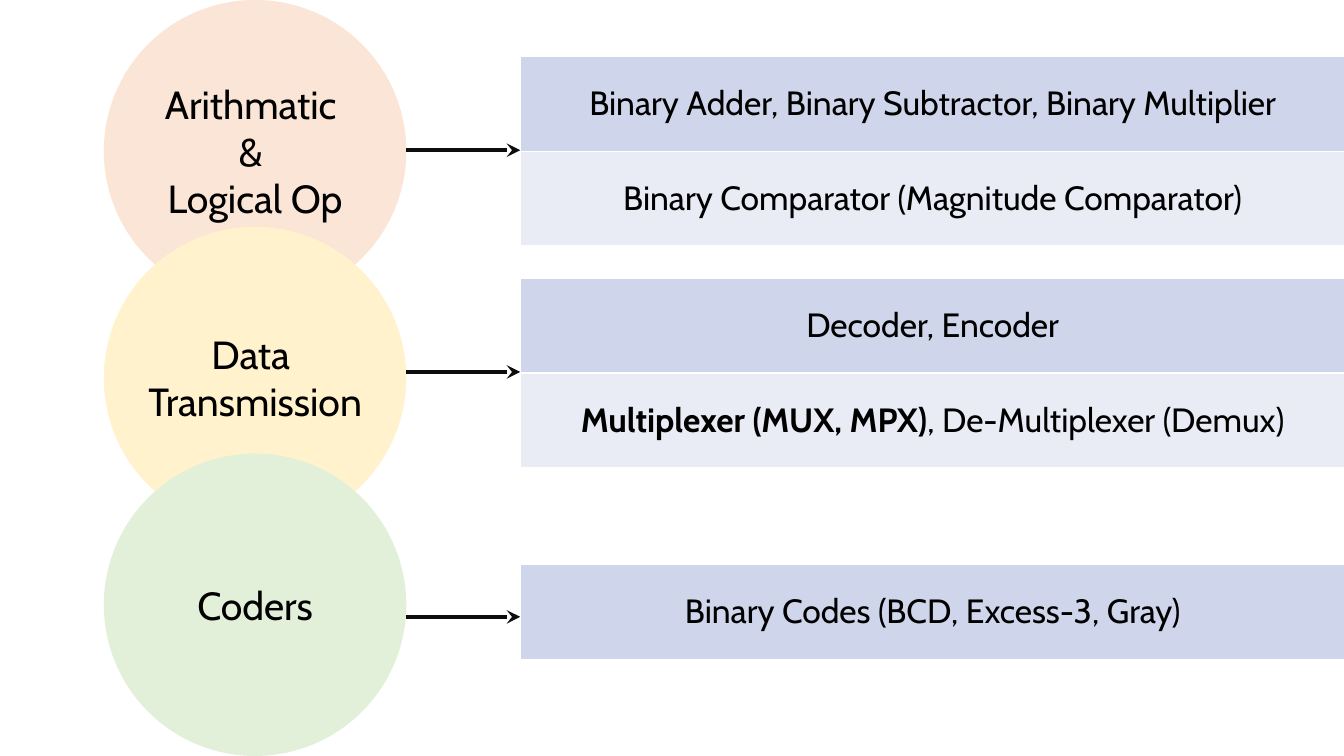
from pptx import Presentation
from pptx.dml.color import RGBColor
from pptx.enum.shapes import MSO_CONNECTOR, MSO_SHAPE
from pptx.enum.text import MSO_ANCHOR, MSO_AUTO_SIZE, PP_ALIGN
from pptx.oxml import parse_xml
from pptx.oxml.ns import nsdecls
from pptx.util import Inches, Pt

FONT = "Cabin"
COLORS = {
    "text": "000000", "arrow": "0D0D0D", "border": "FFFFFF",
    "peach": "FBE5D6", "yellow": "FFF2CC", "green": "E2F0D9",
    "row_dark": "CFD5EA", "row_light": "E9EBF5",
}
CIRCLE_LEFT, CIRCLE_SIZE, CIRCLE_STEP = 1.03, 3, 2.25
TABLE_LEFT, TABLE_WIDTH, ROW_HEIGHT = 5.16, 8.18, 0.94

# Each category: colour, label lines, label box width and height,
# arrow height on the slide, table top, table rows as (text, bold) runs
CATEGORIES = [
    ("peach", ["Arithmatic ", "& ", "Logical Op"], 2.1, 1.51, 1.49, 0.56,
     [[("Binary Adder, Binary Subtractor, Binary Multiplier", False)],
      [("Binary Comparator (Magnitude Comparator)", False)]]),
    ("yellow", ["Data ", "Transmission"], 2.41, 1.04, 3.69, 2.76,
     [[("Decoder, Encoder", False)],
      [("Multiplexer (MUX, MPX)", True), (", De-Multiplexer (Demux)", False)]]),
    ("green", ["Coders"], 1.42, 0.57, 6.12, 5.6,
     [[("Binary Codes (BCD, Excess-3, Gray)", False)]]),
]


def rgb(name):
    return RGBColor.from_string(COLORS[name])


def add_run(p, text, size, bold=False):
    p.alignment = PP_ALIGN.CENTER
    r = p.add_run()
    r.text = text
    r.font.name, r.font.size, r.font.bold = FONT, Pt(size), bold
    r.font.color.rgb = rgb("text")


def add_filled(group, preset, color, x, y, w, h):
    sp = group.shapes.add_shape(preset, Inches(x), Inches(y), Inches(w), Inches(h))
    sp.shadow.inherit = False
    sp.fill.solid()
    sp.fill.fore_color.rgb = rgb(color)
    sp.line.fill.background()
    return sp


def add_circle(s, x, y, size, color, lines, label_w, label_h):
    """Circle with its label box centred on it."""
    group = s.shapes.add_group_shape()
    add_filled(group, MSO_SHAPE.OVAL, color, x, y, size, size)
    label = add_filled(group, MSO_SHAPE.RECTANGLE, color, x + (size - label_w) / 2,
                       y + (size - label_h) / 2, label_w, label_h)
    tf = label.text_frame
    tf.word_wrap = False
    tf.auto_size = MSO_AUTO_SIZE.SHAPE_TO_FIT_TEXT
    tf.vertical_anchor = MSO_ANCHOR.TOP
    for i, line in enumerate(lines):
        p = tf.add_paragraph() if i else tf.paragraphs[0]
        add_run(p, line, 28)


def add_arrow(s, x1, x2, y):
    """Horizontal arrow from circle to table."""
    arrow = s.shapes.add_connector(MSO_CONNECTOR.STRAIGHT, Inches(x1), Inches(y),
                                   Inches(x2), Inches(y))
    arrow.line.width = Pt(3.25)
    arrow.line.color.rgb = rgb("arrow")
    arrow.line._get_or_add_ln().append(
        parse_xml(f'<a:tailEnd {nsdecls("a")} type="stealth"/>'))
    arrow._element.spPr.append(parse_xml(f'<a:effectLst {nsdecls("a")}/>'))


def add_cell(cell, runs, color):
    tc_pr = cell._tc.get_or_add_tcPr()
    for side in ("lnL", "lnR", "lnT", "lnB"):
        tc_pr.append(parse_xml(
            f'<a:{side} {nsdecls("a")} w="{Pt(1)}"><a:solidFill>'
            f'<a:srgbClr val="{COLORS["border"]}"/></a:solidFill></a:{side}>'))
    cell.fill.solid()
    cell.fill.fore_color.rgb = rgb(color)
    cell.vertical_anchor = MSO_ANCHOR.MIDDLE
    for text, bold in runs:
        add_run(cell.text_frame.paragraphs[0], text, 24, bold)


def add_circuit_table(s, x, y, w, rows):
    """One-column table with alternating row colours."""
    table = s.shapes.add_table(len(rows), 1, Inches(x), Inches(y), Inches(w),
                               Inches(ROW_HEIGHT * len(rows))).table
    table.first_row = table.horz_banding = False
    for i, runs in enumerate(rows):
        table.rows[i].height = Inches(ROW_HEIGHT)
        add_cell(table.cell(i, 0), runs, ("row_dark", "row_light")[i % 2])


def main():
    prs = Presentation()
    prs.slide_width, prs.slide_height = Inches(13.33), Inches(7.5)
    s = prs.slides.add_slide(prs.slide_layouts[6])

    # One row per category: circle, arrow, table
    for i, (color, lines, w, h, arrow_y, table_y, rows) in enumerate(CATEGORIES):
        add_circle(s, CIRCLE_LEFT, i * CIRCLE_STEP, CIRCLE_SIZE, color, lines, w, h)
        add_arrow(s, CIRCLE_LEFT + CIRCLE_SIZE, TABLE_LEFT, arrow_y)
        add_circuit_table(s, TABLE_LEFT, table_y, TABLE_WIDTH, rows)

    prs.save("out.pptx")


if __name__ == "__main__":
    main()
